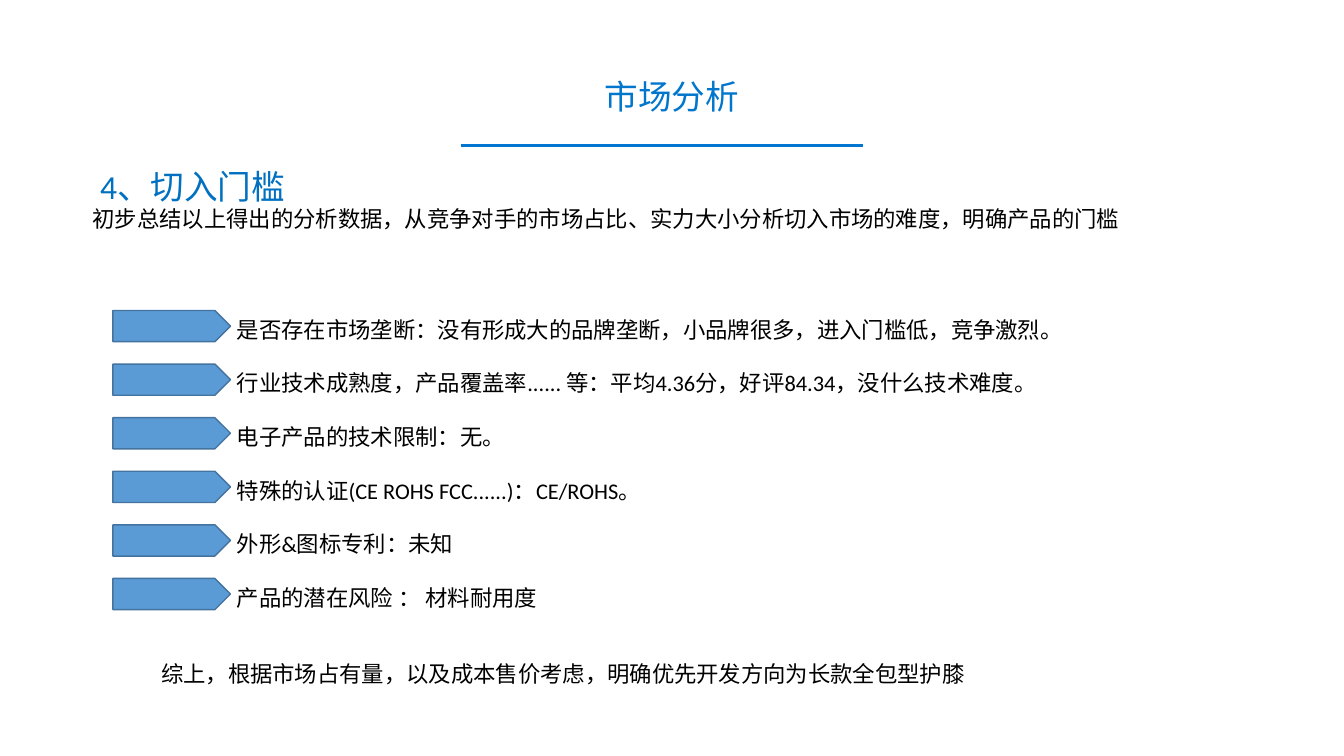
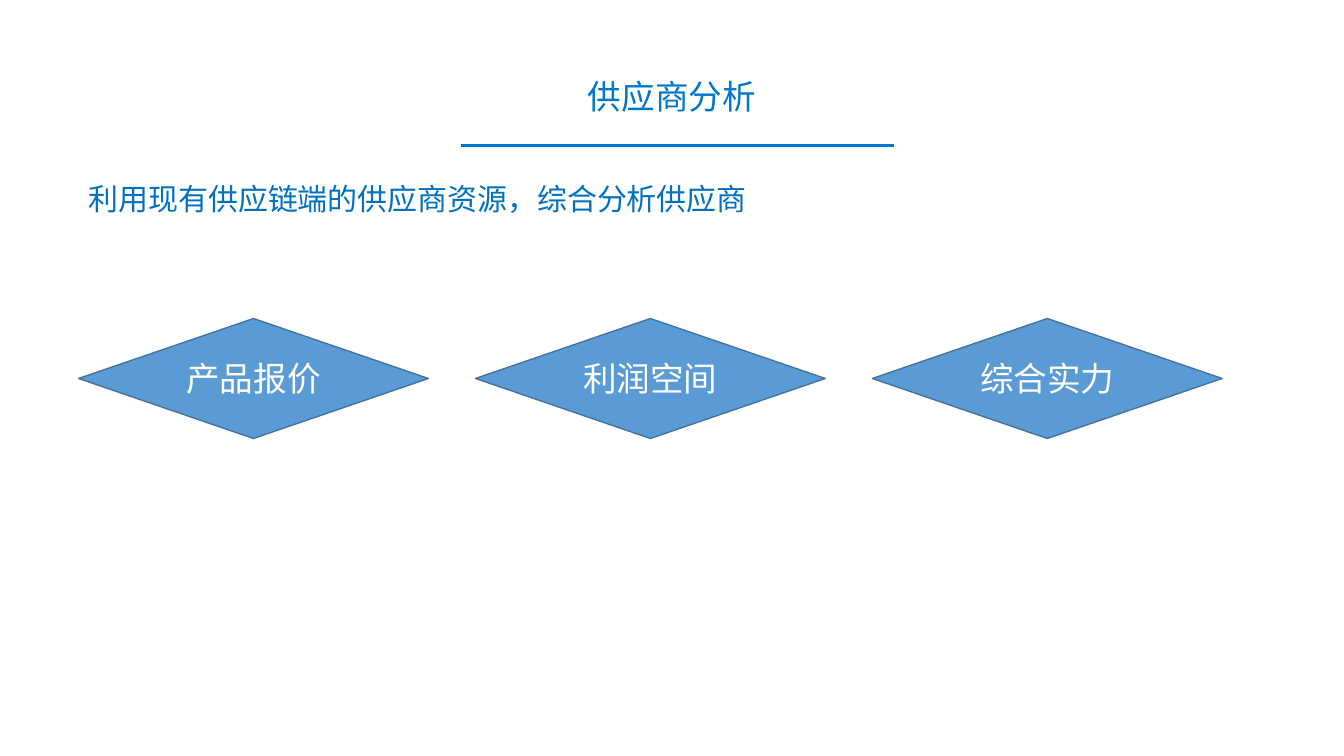
from lxml import etree
from pptx import Presentation, util as u
from pptx.dml.color import RGBColor
from pptx.enum import shapes, text
from pptx.oxml import ns

TITLE_BLUE = RGBColor(0x00, 0x76, 0xCC)
RULE_BLUE = RGBColor(0x00, 0x76, 0xD0)
HEADING_BLUE = RGBColor(0x00, 0x70, 0xC0)
SHAPE_BLUE = RGBColor(0x5B, 0x9B, 0xD5)
EDGE_BLUE = RGBColor(0x43, 0x73, 0x9E)
BLACK = RGBColor(0x00, 0x00, 0x00)
WHITE = RGBColor(0xFF, 0xFF, 0xFF)

LATIN = "Calibri"
HAN = "Noto Sans CJK SC"
COLUMNS, ROWS = 160, 90
POINTS_PER_ROW = 6

TITLE = {"size": 24, "name": HAN, "color": TITLE_BLUE}
HEADING = {"size": 24, "name": LATIN, "color": HEADING_BLUE}
SUBTITLE = {"size": 21.4, "name": HAN, "color": HEADING_BLUE}
BODY = {"size": 16, "name": LATIN, "color": BLACK}
LABEL = {"size": 24, "name": LATIN, "color": WHITE}

CHECKS = [
    "是否存在市场垄断：没有形成大的品牌垄断，小品牌很多，进入门槛低，竞争激烈。",
    "行业技术成熟度，产品覆盖率...... 等：平均4.36分，好评84.34，没什么技术难度。",
    "电子产品的技术限制：无。",
    "特殊的认证(CE ROHS FCC......)：CE/ROHS。",
    "外形&图标专利：未知",
    "产品的潜在风险 ： 材料耐用度",
]
CRITERIA = ["产品报价", "利润空间", "综合实力"]


class Deck:
    def __init__(self):
        self.deck = Presentation()
        self.deck.slide_width = u.Inches(13.333)
        self.deck.slide_height = u.Inches(7.5)
        self.page = None

    def grid(self, column, row):
        return (int(self.deck.slide_width * column / COLUMNS),
                int(self.deck.slide_height * row / ROWS))

    def area(self, column, row, width, height):
        return (*self.grid(column, row), *self.grid(width, height))

    def new_page(self, title, rule_end):
        self.page = self.deck.slides.add_slide(self.deck.slide_layouts[1])
        self.place(self.page.shapes.title, (0, 8.4, COLUMNS, 6))
        self.fill_text(self.page.shapes.title, [title], TITLE,
                       alignment=text.PP_ALIGN.CENTER)
        self.rule(54.84, rule_end, 17.28)

    def place(self, box, cells):
        for name, value in zip(("left", "top", "width", "height"), self.area(*cells)):
            setattr(box, name, value)

    def fill_text(self, box, lines, style, anchor=text.MSO_ANCHOR.MIDDLE,
                  alignment=text.PP_ALIGN.LEFT, line_spacing=None):
        frame = box.text_frame
        frame_format = {"word_wrap": True, "auto_size": text.MSO_AUTO_SIZE.NONE,
                        "vertical_anchor": anchor, "margin_top": 0,
                        "margin_bottom": 0}
        para_format = {"alignment": alignment, "line_spacing": line_spacing,
                       "space_before": u.Pt(0)}
        for name, value in frame_format.items():
            setattr(frame, name, value)
        for index, line in enumerate(lines):
            para = frame.add_paragraph() if index else frame.paragraphs[0]
            for name, value in para_format.items():
                setattr(para, name, value)
            properties = para._p.get_or_add_pPr()
            properties.set("marL", "0")
            properties.set("indent", "0")
            etree.SubElement(properties, ns.qn("a:buNone"))
            self.span(para, line, style)

    def span(self, para, line, style):
        span = para.add_run()
        span.text = line
        span.font.size = u.Pt(style["size"])
        span.font.name = style["name"]
        span.font.color.rgb = style["color"]
        properties = span._r.get_or_add_rPr()
        properties.set("lang", "zh-CN")
        etree.SubElement(properties, ns.qn("a:ea")).set("typeface", HAN)

    def body(self, cells, lines, style, **layout):
        box = self.page.placeholders[1]
        self.place(box, cells)
        self.fill_text(box, lines, style, **layout)

    def textbox(self, cells, line, style):
        box = self.page.shapes.add_textbox(*self.area(*cells))
        self.fill_text(box, [line], style)

    def shape(self, kind, cells, label=None):
        box = self.page.shapes.add_shape(kind, *self.area(*cells))
        box.shadow.inherit = False
        box.fill.solid()
        box.fill.fore_color.rgb = SHAPE_BLUE
        box.line.color.rgb = EDGE_BLUE
        box.line.width = u.Pt(1)
        if label:
            self.fill_text(box, [label], LABEL, alignment=text.PP_ALIGN.CENTER)

    def rule(self, start, end, row):
        rule = self.page.shapes.add_connector(
            shapes.MSO_CONNECTOR.STRAIGHT, *self.grid(start, row), *self.grid(end, row))
        rule.line.color.rgb = RULE_BLUE
        rule.line.width = u.Pt(2)
        etree.SubElement(rule._element.spPr, ns.qn("a:effectLst"))


def market_page(deck):
    pitch = 6.38
    deck.new_page("市场分析", 102.72)
    deck.textbox((10.74, 19.2, 140, 6), "4、切入门槛", HEADING)
    deck.textbox((9.84, 24, 144, 4.08),
                 "初步总结以上得出的分析数据，从竞争对手的市场占比、实力大小分析切入市场的难度，明确产品的门槛",
                 BODY)
    deck.body((27, 34.44, 127, pitch * len(CHECKS)), CHECKS, BODY,
              anchor=text.MSO_ANCHOR.TOP, line_spacing=u.Pt(pitch * POINTS_PER_ROW))
    for index in range(len(CHECKS)):
        deck.shape(shapes.MSO_SHAPE.PENTAGON, (13.44, 36.96 + pitch * index, 14, 3.72))
    deck.textbox((18, 78, 136, 4.44),
                 "综上，根据市场占有量，以及成本售价考虑，明确优先开发方向为长款全包型护膝", BODY)


def supplier_page(deck):
    deck.new_page("供应商分析", 106.44)
    deck.body((9.36, 21, 88.92, 5.28),
              ["利用现有供应链端的供应商资源，综合分析供应商"], SUBTITLE)
    for index, label in enumerate(CRITERIA):
        deck.shape(shapes.MSO_SHAPE.FLOWCHART_DECISION,
                   (9.36 + 47.25 * index, 37.92, 41.64, 14.28), label)


def main():
    deck = Deck()
    market_page(deck)
    supplier_page(deck)
    deck.deck.save("out.pptx")


if __name__ == "__main__":
    main()
